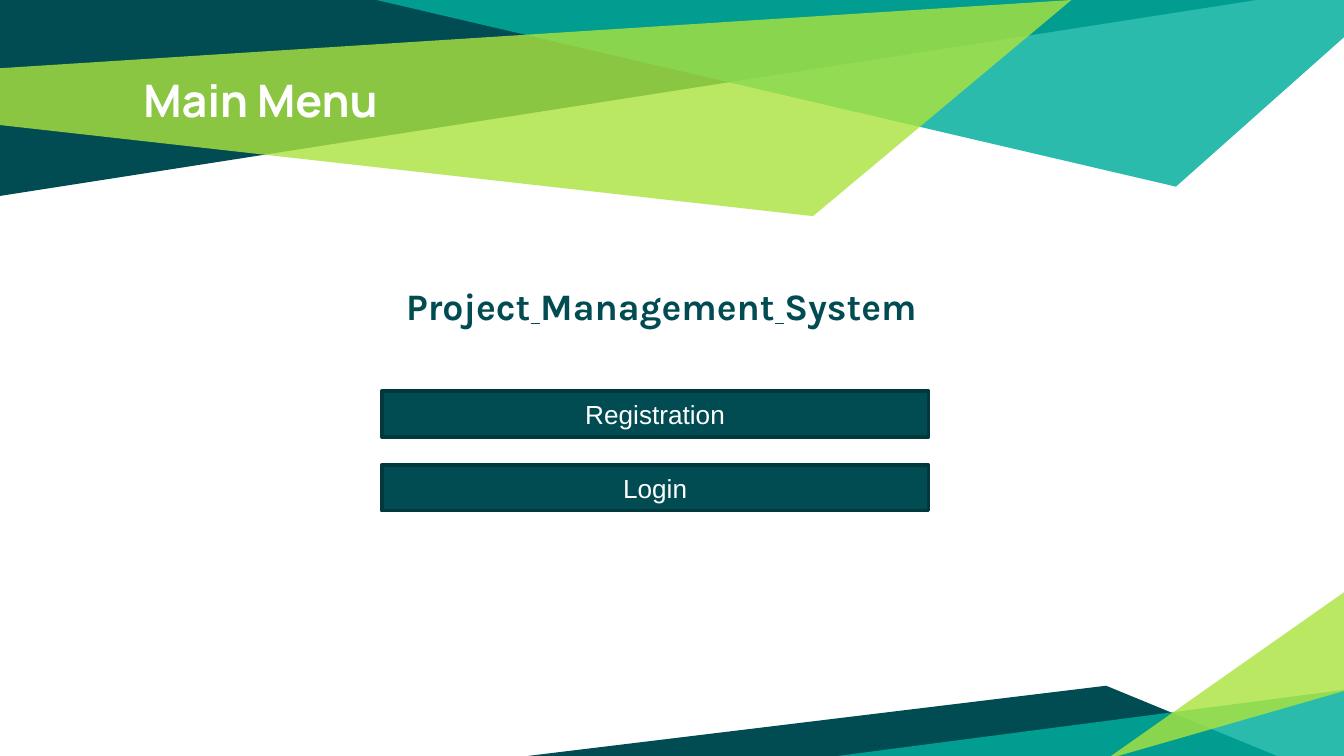
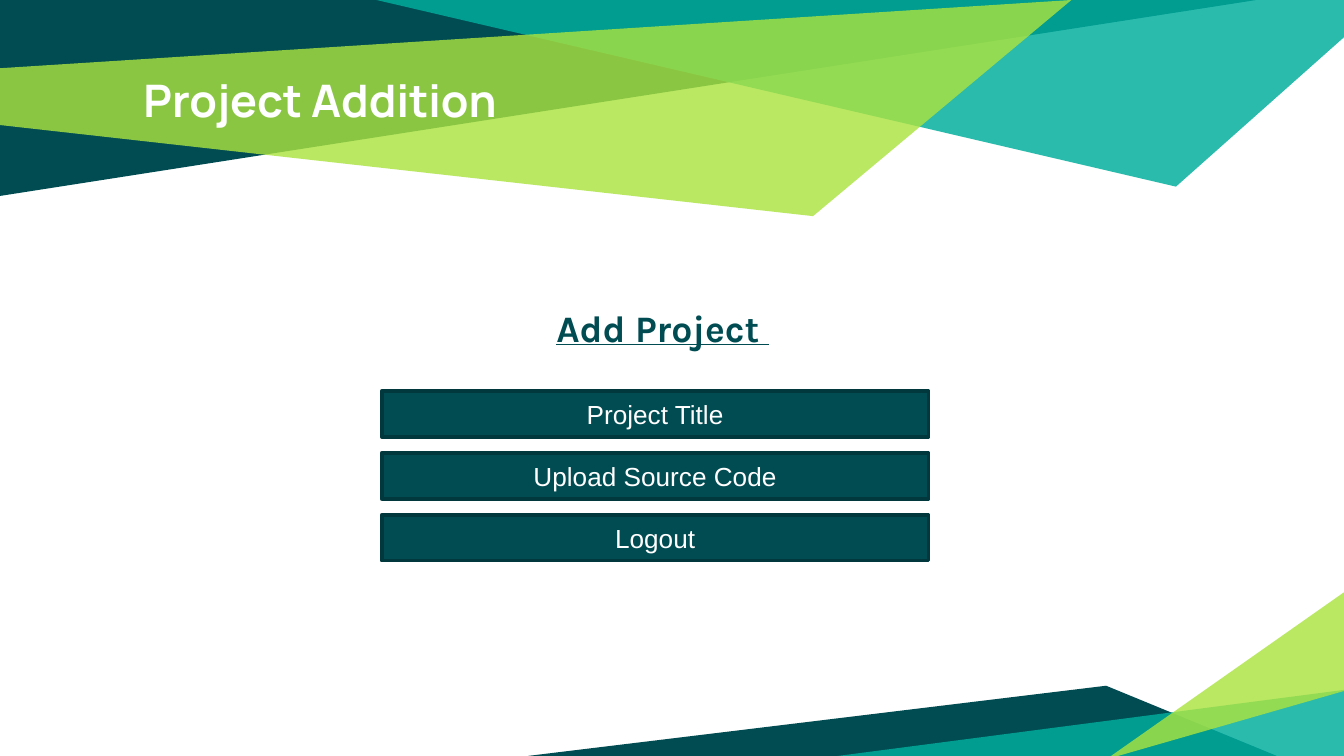
"""Build two menu slides of a project management system."""
from lxml.etree import SubElement
from pptx import Presentation
from pptx.dml.color import RGBColor
from pptx.enum.shapes import MSO_SHAPE
from pptx.enum.text import MSO_ANCHOR, PP_ALIGN
from pptx.oxml.ns import qn
from pptx.util import Pt

COLOURS = {
    "dark": "004C52",
    "edge": "00383D",
    "teal": "00AE9D",
    "lime": "ABE33F",
    "white": "FFFFFF",
}

BANDS = [
    ("dark", 100, [(0, 0), (0, 105), (673.2, 0)]),
    ("teal", 83, [(201.6, 0), (630, 100), (720, 20), (720, 0)]),
    ("lime", 81, [(-0.7, 36.6), (0, 67), (435.6, 115.8), (574, 0)]),
    ("dark", 100, [(283, 405), (684, 405), (592.6, 367.4)]),
    ("teal", 83, [(721.4, 369.4), (721.4, 406.8), (434.9, 406.8)]),
    ("lime", 81, [(720.7, 370), (720.7, 316.8), (592.6, 406.8)]),
]

PAGES = [
    {
        "title": "Main Menu",
        "heading": [("Project", False), (" ", True), ("Management", False),
                    (" ", True), ("System", False)],
        "heading_at": (204.5, 144.7),
        "heading_align": PP_ALIGN.JUSTIFY,
        "buttons": ["Registration", "Login"],
        "pitch": 39.6,
    },
    {
        "title": "Project Addition",
        "heading": [("Add Project ", True)],
        "heading_at": (285, 156.2),
        "heading_align": PP_ALIGN.LEFT,
        "buttons": ["Project Title", "Upload Source Code", "Logout"],
        "pitch": 33.2,
    },
]

TITLE_AT = (69.8, 31.7, 580.3, 67.7)
HEADING_SIZE = (580.3, 29.5)
BUTTON_LEFT, BUTTON_TOP, BUTTON_WIDTH, BUTTON_HEIGHT = 204.5, 209.5, 293, 24.5


def colour(name):
    return RGBColor.from_string(COLOURS[name])


def add_span(paragraph, text, font, size, ink, bold=False, underline=False):
    span = paragraph.add_run()
    span.text = text
    span.font.name = font
    span.font.size = Pt(size)
    span.font.bold = bold
    span.font.underline = underline
    span.font.color.rgb = colour(ink)


def add_band(page, name, opacity, points):
    corners = [(Pt(x), Pt(y)) for x, y in points]
    builder = page.shapes.build_freeform(*corners[0])
    builder.add_line_segments(corners[1:], close=True)
    band = builder.convert_to_shape()
    band.shadow.inherit = False
    band.line.fill.background()
    band.fill.solid()
    band.fill.fore_color.rgb = colour(name)
    if opacity < 100:
        tint = band.fill._xPr.find(qn("a:solidFill"))[0]
        SubElement(tint, qn("a:alpha")).set("val", str(opacity * 1000))


def add_text_box(page, left, top, width, height):
    box = page.shapes.add_textbox(Pt(left), Pt(top), Pt(width), Pt(height))
    frame = box.text_frame
    frame.word_wrap = True
    frame.margin_left = frame.margin_right = Pt(7.2)
    frame.margin_top = frame.margin_bottom = Pt(7.2)
    return frame.paragraphs[0]


def add_heading(page, spans, place, align):
    paragraph = add_text_box(page, *place, *HEADING_SIZE)
    paragraph.alignment = align
    paragraph.space_before = Pt(6)
    properties = paragraph._p.get_or_add_pPr()
    properties.set("marL", str(Pt(6)))
    properties.set("indent", "0")
    for text, underline in spans:
        add_span(paragraph, text, "Karla", 20, "dark", True, underline)


def add_button(page, label, top):
    button = page.shapes.add_shape(
        MSO_SHAPE.RECTANGLE, Pt(BUTTON_LEFT), Pt(top), Pt(BUTTON_WIDTH), Pt(BUTTON_HEIGHT))
    button.shadow.inherit = False
    button.fill.solid()
    button.fill.fore_color.rgb = colour("dark")
    button.line.color.rgb = colour("edge")
    button.line.width = Pt(2)
    button.text_frame.vertical_anchor = MSO_ANCHOR.MIDDLE
    paragraph = button.text_frame.paragraphs[0]
    paragraph.alignment = PP_ALIGN.CENTER
    add_span(paragraph, label, "Arial", 14, "white")


def add_page(deck, content):
    page = deck.slides.add_slide(deck.slide_layouts[6])
    page.background.fill.solid()
    page.background.fill.fore_color.rgb = colour("white")
    for band in BANDS:
        add_band(page, *band)
    title = add_text_box(page, *TITLE_AT)
    add_span(title, content["title"], "Manrope", 24, "white", True)
    add_heading(page, content["heading"], content["heading_at"], content["heading_align"])
    for index, label in enumerate(content["buttons"]):
        add_button(page, label, BUTTON_TOP + index * content["pitch"])


deck = Presentation()
deck.slide_width, deck.slide_height = Pt(720), Pt(405)
for content in PAGES:
    add_page(deck, content)
deck.save("out.pptx")
